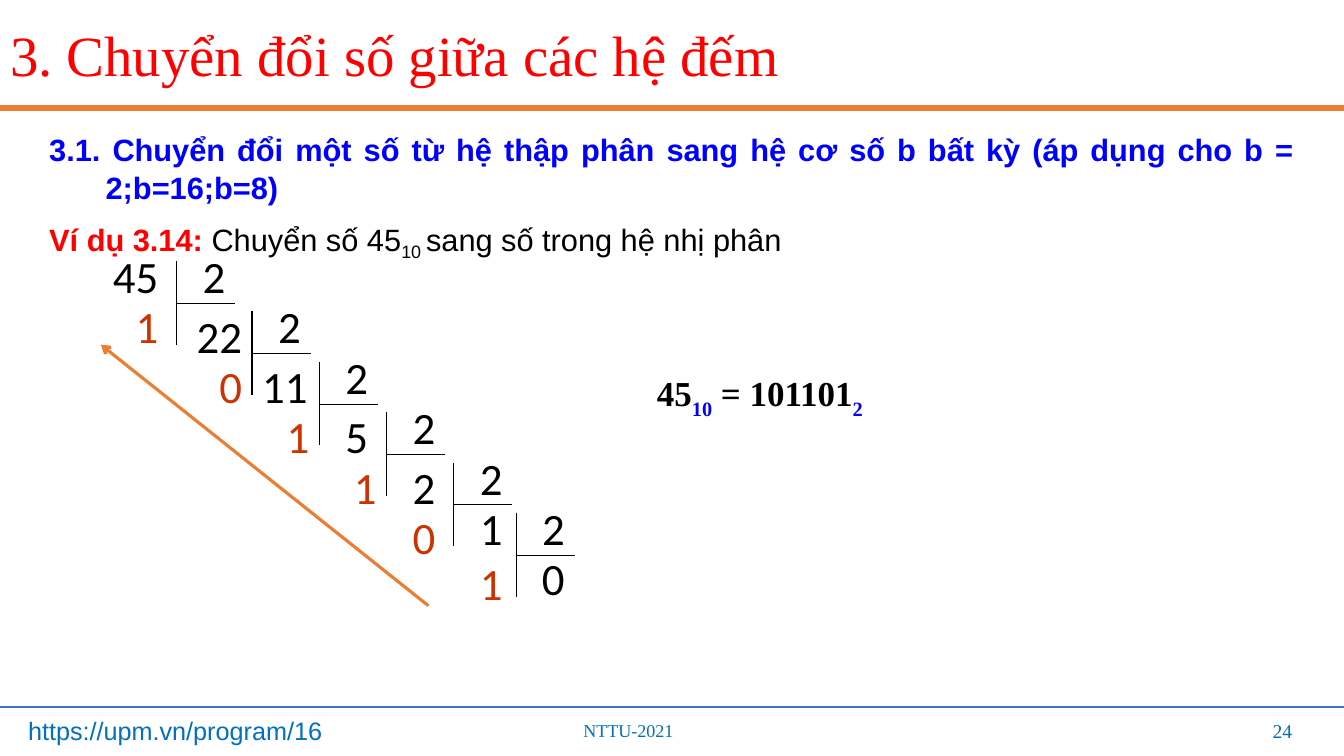
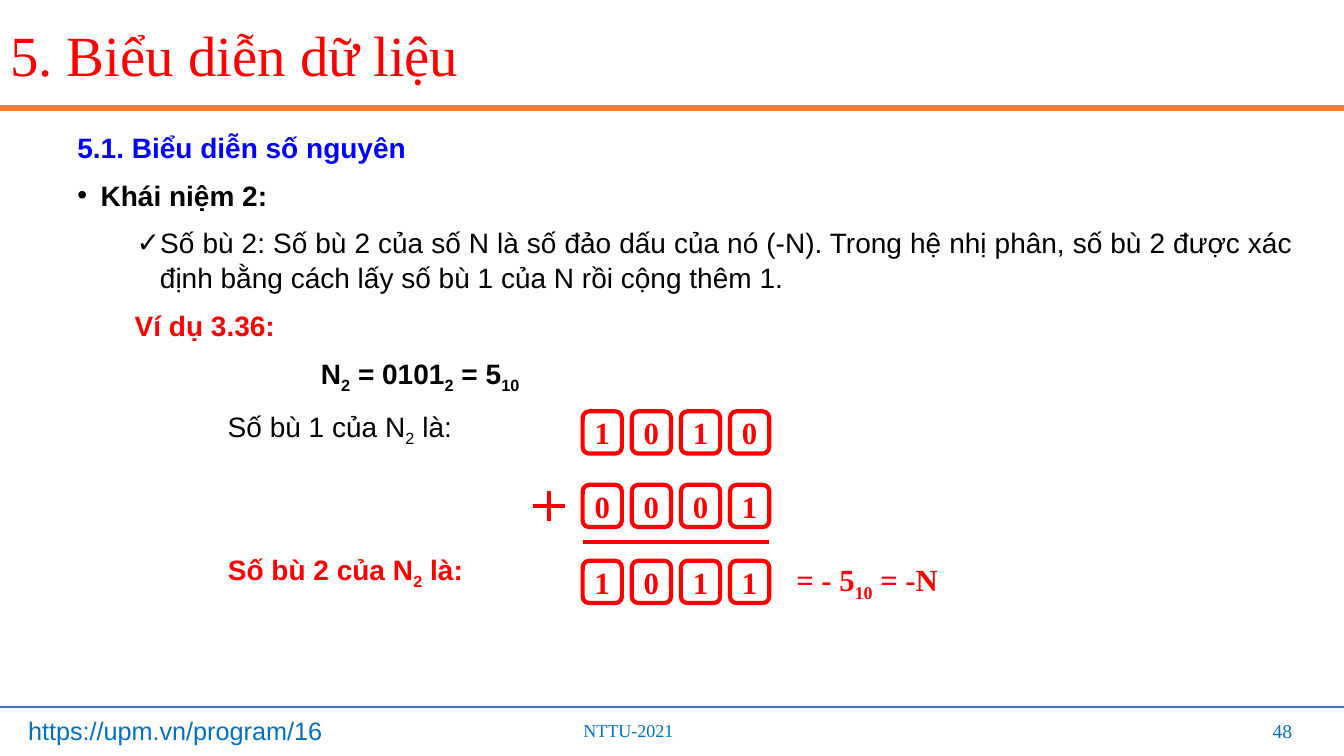
"""Build two lecture slides on number conversion and two's complement."""
from lxml.etree import SubElement
from pptx import Presentation
from pptx.dml.color import RGBColor
from pptx.enum.shapes import MSO_CONNECTOR, MSO_SHAPE
from pptx.enum.text import MSO_ANCHOR as ANCHOR, MSO_AUTO_SIZE, PP_ALIGN as ALIGN
from pptx.oxml.ns import qn
from pptx.util import Pt

WIDTH, HEIGHT = 960, 540
SANS, SERIF, DIGITS = "Arial", "Times New Roman", "Calibri"
RED, BLUE, BLACK, ORANGE = "FF0000", "0000FF", "000000", "ED7D31"
FOOTER_TEXT, FOOTER_LINE, REMAINDER = "0070C0", "4472C4", "CC3300"

CONVERSION = {
    "title": "3. Chuyển đổi số giữa các hệ đếm",
    "number": "24",
    "body": [
        {"runs": [("3.1. Chuyển đổi một số từ hệ thập phân sang hệ cơ số b bất kỳ "
                   "(áp dụng cho b = 2;b=16;b=8)", BLUE, True)], "indent": (40.3, -40.3)},
        {"runs": [("Ví dụ 3.14: ", RED, True),
                  ("Chuyển số 45~10 ~sang số trong hệ nhị phân", BLACK, False)]},
    ],
}
START, BASE = 45, 2
ANSWER = "45~10~ = 101101~2~"
BRACKET_LEFTS = [126, 180, 228, 276, 324, 368.6]
BRACKET_TOP, STEP = 174.2, 36
NUMBER_PLACES = [(120.2, 174.2), (180, 216.7), (226.8, 252.7), (270, 288.7),
                 (318, 324.7), (366, 354.2), (410.4, 390.2)]
REMAINDER_PLACES = [(120.2, 210.2), (180, 252.7), (228, 288.7), (276, 324.7),
                    (318, 360.7), (366, 393.1)]

COMPLEMENT = {
    "title": "5. Biểu diễn dữ liệu",
    "number": "48",
    "body": [
        {"runs": [("5.1. Biểu diễn số nguyên", BLUE, True)]},
        {"runs": [("Khái niệm 2:", BLACK, True)], "indent": (16.6, -16.6), "bullet": "•"},
        {"runs": [("Số bù 2: Số bù 2 của số N là số đảo dấu của nó (-N). Trong hệ nhị phân, "
                   "số bù 2 được xác định bằng cách lấy số bù 1 của N rồi cộng thêm 1.",
                   BLACK, False)], "indent": (59, -16.6), "bullet": "✓"},
        {"runs": [("Ví dụ 3.36:", RED, True)], "indent": (41, 0)},
        {"runs": [("N~2~ = 0101~2~ = 5~10~", BLACK, True)], "indent": (174, 0)},
        {"runs": [("Số bù 1 của N~2~ là:", BLACK, False)], "indent": (107.4, 0)},
    ],
}
SECOND_COMPLEMENT = "Số bù 2 của N~2~ là:"
RESULT = "= - 5~10~ = -N"
BIT_ROWS = [("1010", 293.8), ("0001", 346.3), ("1011", 400.6)]
BIT_LEFT, BIT_PITCH, BIT_WIDTH, BIT_HEIGHT = 416.2, 35.1, 28, 30.2


def color(value):
    return RGBColor.from_string(value)


def write_runs(paragraph, text, font, size, hue, bold=False, sub_hue=None, drop=25):
    for index, piece in enumerate(text.split("~")):
        if not piece:
            continue
        lowered = index % 2 == 1
        run = paragraph.add_run()
        run.text = piece
        run.font.name, run.font.size, run.font.bold = font, Pt(size), bold
        run.font.color.rgb = color(sub_hue if lowered and sub_hue else hue)
        if lowered:
            run._r.get_or_add_rPr().set("baseline", str(-drop * 1000))


def add_box(slide, left, top, width, height, anchor=ANCHOR.TOP):
    shape = slide.shapes.add_textbox(Pt(left), Pt(top), Pt(width), Pt(height))
    shape.text_frame.word_wrap = True
    shape.text_frame.vertical_anchor = anchor
    return shape.text_frame


def add_label(slide, area, text, font, size, hue, align=ALIGN.LEFT, anchor=ANCHOR.TOP, **style):
    paragraph = add_box(slide, *area, anchor).paragraphs[0]
    paragraph.alignment = align
    write_runs(paragraph, text, font, size, hue, **style)


def add_line(slide, start, end, hue, weight, arrow=False):
    connector = slide.shapes.add_connector(
        MSO_CONNECTOR.STRAIGHT, *(Pt(value) for value in (*start, *end)))
    connector.line.color.rgb = color(hue)
    connector.line.width = Pt(weight)
    if arrow:
        SubElement(connector.line._get_or_add_ln(), qn("a:tailEnd"), type="arrow")
    SubElement(connector._element.spPr, qn("a:effectLst"))


def add_body(slide, left, width, size, items):
    frame = add_box(slide, left, 88.6, width, 330)
    for index, item in enumerate(items):
        paragraph = frame.add_paragraph() if index else frame.paragraphs[0]
        properties = paragraph._p.get_or_add_pPr()
        margin, first = item.get("indent", (0, 0))
        properties.set("marL", str(Pt(margin)))
        properties.set("indent", str(Pt(first)))
        if "bullet" in item:
            SubElement(properties, qn("a:buFont"), typeface=SANS)
            SubElement(properties, qn("a:buChar"), char=item["bullet"])
        paragraph.alignment = ALIGN.JUSTIFY
        paragraph.line_spacing = 1.04
        paragraph.space_before = Pt(9.2 if index else 0)
        for text, hue, bold in item["runs"]:
            write_runs(paragraph, text, SANS, size, hue, bold)


def add_lecture_slide(presentation, content):
    slide = presentation.slides.add_slide(presentation.slide_layouts[5])
    add_line(slide, (0, 77), (WIDTH, 77), ORANGE, 4.5)
    add_line(slide, (0, 504.7), (WIDTH, 504.7), FOOTER_LINE, 1.5)
    add_label(slide, (409.7, 510.5, 128, 23), "NTTU-2021", SERIF, 12.9, FOOTER_TEXT)
    add_label(slide, (13, 507.6, 247, 29), "https://upm.vn/program/16", SANS, 18, FOOTER_TEXT)
    add_label(slide, (714.2, 507.6, 216, 29), content["number"], SERIF, 14, FOOTER_TEXT,
              ALIGN.RIGHT, ANCHOR.MIDDLE)
    title = slide.shapes.title
    title.left, title.top, title.width, title.height = Pt(0), Pt(2.2), Pt(WIDTH), Pt(79.2)
    frame = title.text_frame
    frame.auto_size = MSO_AUTO_SIZE.NONE
    frame.vertical_anchor = ANCHOR.MIDDLE
    paragraph = frame.paragraphs[0]
    paragraph.alignment = ALIGN.LEFT
    paragraph.line_spacing = 0.9
    write_runs(paragraph, content["title"], SERIF, 40.6, RED)
    return slide


def add_digits(slide, right, top, value, hue=BLACK):
    add_label(slide, (right - 54, top, 54, 45.4), str(value), DIGITS, 32, hue, ALIGN.RIGHT)


def add_division(slide):
    number = START
    for index, left in enumerate(BRACKET_LEFTS):
        top = BRACKET_TOP + index * STEP
        add_line(slide, (left, top + 12.2), (left, top + 72), BLACK, 0.75)
        add_line(slide, (left, top + 42.5), (left + 42, top + 42.5), BLACK, 0.75)
        add_digits(slide, left + 42, top, BASE)
        add_digits(slide, *NUMBER_PLACES[index], number)
        number, remainder = divmod(number, BASE)
        add_digits(slide, *REMAINDER_PLACES[index], remainder, REMAINDER)
    add_digits(slide, *NUMBER_PLACES[-1], number)
    add_line(slide, (306, 432.7), (72, 246.2), ORANGE, 2.25, arrow=True)


def add_bit(slide, left, top, bit):
    shape = slide.shapes.add_shape(MSO_SHAPE.ROUNDED_RECTANGLE, Pt(left), Pt(top),
                                   Pt(BIT_WIDTH), Pt(BIT_HEIGHT))
    shape.shadow.inherit = False
    shape.fill.background()
    shape.line.color.rgb = color(RED)
    shape.line.width = Pt(3)
    frame = shape.text_frame
    frame.margin_left = frame.margin_right = frame.margin_top = frame.margin_bottom = 0
    frame.vertical_anchor = ANCHOR.MIDDLE
    frame.paragraphs[0].alignment = ALIGN.CENTER
    write_runs(frame.paragraphs[0], bit, SERIF, 22, RED, True)


def add_addition(slide):
    for bits, top in BIT_ROWS:
        for column, bit in enumerate(bits):
            add_bit(slide, BIT_LEFT + column * BIT_PITCH, top, bit)
    add_line(slide, (BIT_LEFT, 387.4), (549.4, 387.4), RED, 3)
    add_line(slide, (380.9, 361.4), (403.9, 361.4), RED, 3)
    add_line(slide, (392.4, 372.2), (392.4, 350.6), RED, 3)


def main():
    presentation = Presentation()
    presentation.slide_width, presentation.slide_height = Pt(WIDTH), Pt(HEIGHT)

    slide = add_lecture_slide(presentation, CONVERSION)
    add_body(slide, 28.1, 903.6, 22, CONVERSION["body"])
    add_division(slide)
    add_label(slide, (462.2, 264.2, 174.2, 37.4), ANSWER, SERIF, 25, BLACK,
              anchor=ANCHOR.MIDDLE, bold=True, sub_hue=BLUE, drop=30)

    slide = add_lecture_slide(presentation, COMPLEMENT)
    add_body(slide, 48.2, 882.7, 20, COMPLEMENT["body"])
    add_label(slide, (155.7, 391, 230, 34), SECOND_COMPLEMENT, SANS, 20, RED, bold=True)
    add_addition(slide)
    add_label(slide, (561.7, 400.3, 169, 30.2), RESULT, SERIF, 22, RED,
              anchor=ANCHOR.MIDDLE, bold=True)

    presentation.save("out.pptx")


if __name__ == "__main__":
    main()
